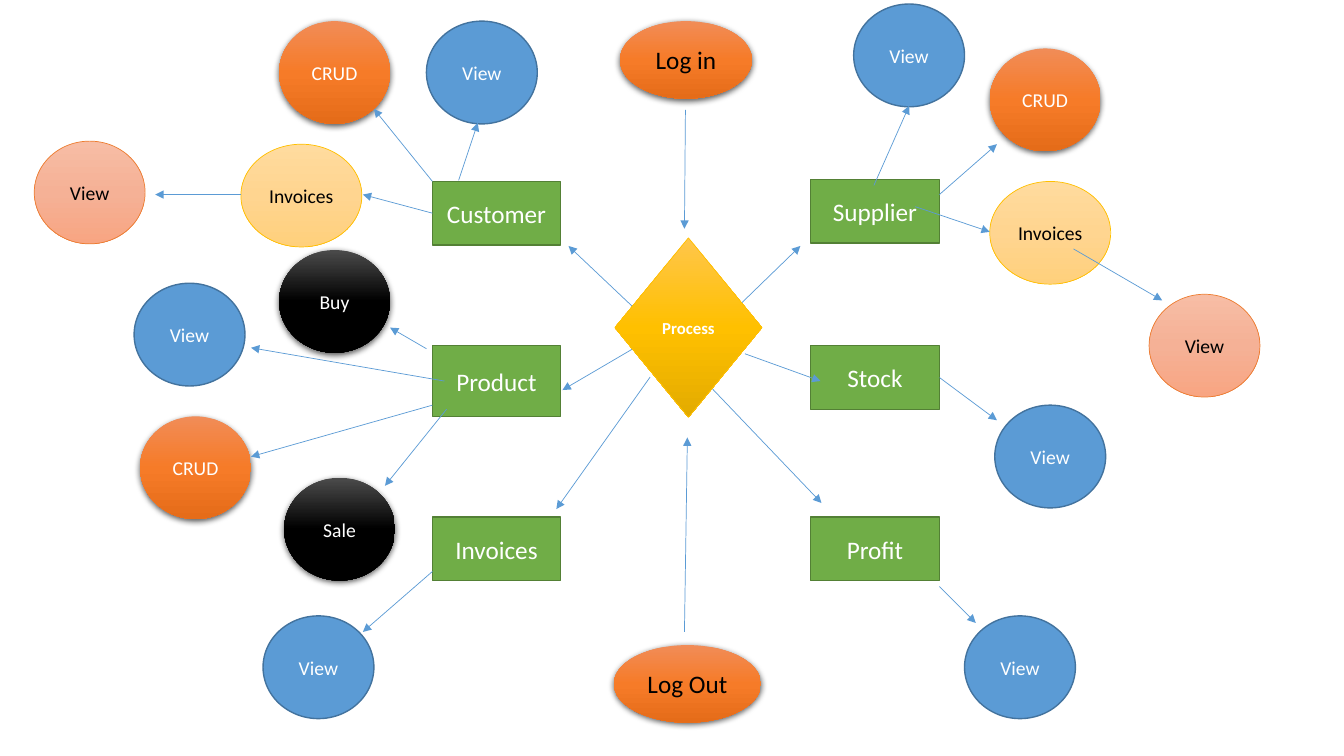
"""Build the process map of a shop system on one slide."""
import copy
from dataclasses import dataclass

import pptx
import pptx.dml.color
import pptx.enum.shapes
import pptx.enum.text
import pptx.oxml
import pptx.oxml.ns
import pptx.util
from lxml import etree

Pt = pptx.util.Pt
SHAPE = pptx.enum.shapes.MSO_SHAPE


@dataclass(frozen=True)
class Look:
    """Fill stops, outline, text colour and shadow of one kind of shape."""
    fill: tuple
    outline: str = ""
    outline_width: float = 0.5
    ink: str = "FFFFFF"
    shadow: bool = False


class Theme:
    """Colours and type sizes of the process map."""
    font = "Calibri"
    large, medium, small = 18, 14, 12
    arrow, arrow_width = "5B9BD5", 0.5
    orange = ("F18C57", "F67B28", "E56C19")
    access = Look(orange, ink="000000", shadow=True)
    module = Look(("70AD47",), "538035", 1)
    process = Look(("FFC64B", "FFC000", "E3AB00"), "FFC000")
    crud = Look(orange, shadow=True)
    view = Look(("5B9BD5",), "43739E", 1)
    invoice = Look(("FFDB9E", "FFD590", "FFD07C"), "FFC000", ink="000000")
    detail = Look(("F7BDA5", "F5B196", "F8A582"), "ED7D31", ink="000000")
    trade = Look(("4B4B4B", "000000", "000000"), shadow=True)


def rgb(code):
    """Return a colour from its hex code."""
    return pptx.dml.color.RGBColor.from_string(code)


class Diagram:
    """Draws shapes and arrows in one theme on the current page."""

    def __init__(self, page, theme):
        """Keep the page and the theme."""
        self.page = page
        self.theme = theme

    def paint(self, shape, colours):
        """Fill a shape with one colour or an even top-down gradient."""
        if len(colours) == 1:
            shape.fill.solid()
            shape.fill.fore_color.rgb = rgb(colours[0])
            return
        shape.fill.gradient()
        shape.fill.gradient_angle = 270
        stops = shape._element.spPr.find(".//" + pptx.oxml.ns.qn("a:gsLst"))
        stops.append(copy.deepcopy(stops[0]))
        for index, stop in enumerate(shape.fill.gradient_stops):
            stop.color.rgb = rgb(colours[index])
            stop.position = index / (len(colours) - 1)

    def cast_shadow(self, shape):
        """Add a soft shadow below a shape."""
        effects = shape._element.spPr.find(pptx.oxml.ns.qn("a:effectLst"))
        effects.append(pptx.oxml.parse_xml(
            f'<a:outerShdw {pptx.oxml.ns.nsdecls("a")} blurRad="{Pt(4.5)}" '
            f'dist="{Pt(1.5)}" dir="5400000" algn="ctr" rotWithShape="0">'
            '<a:srgbClr val="000000"><a:alpha val="63000"/></a:srgbClr>'
            '</a:outerShdw>'))

    def node(self, kind, text, look, bounds, size, bold=False):
        """Draw a labelled shape and return it."""
        shape = self.page.shapes.add_shape(kind, *map(Pt, bounds))
        self.paint(shape, look.fill)
        if look.outline:
            shape.line.color.rgb = rgb(look.outline)
            shape.line.width = Pt(look.outline_width)
        else:
            shape.line.fill.background()
        shape.shadow.inherit = False
        if look.shadow:
            self.cast_shadow(shape)
        frame = shape.text_frame
        frame.word_wrap = True
        frame.margin_left = frame.margin_right = 0
        frame.vertical_anchor = pptx.enum.text.MSO_ANCHOR.MIDDLE
        para = frame.paragraphs[0]
        para.text = text
        para.alignment = pptx.enum.text.PP_ALIGN.CENTER
        para.font.name, para.font.size = self.theme.font, Pt(size)
        para.font.bold = bold
        para.font.color.rgb = rgb(look.ink)
        return shape

    def module(self, text, left, top, width, height=45.4):
        """Draw a rectangle for a module."""
        return self.node(SHAPE.RECTANGLE, text, self.theme.module,
                         (left, top, width, height), self.theme.large)

    def circle(self, text, look, left, top, width=79.2):
        """Draw a round node for an action."""
        return self.node(SHAPE.OVAL, text, look, (left, top, width, 73.4), self.theme.medium)

    def arrow(self, x1, y1, x2, y2):
        """Draw an arrow between two points and return it."""
        line = self.page.shapes.add_connector(
            pptx.enum.shapes.MSO_CONNECTOR.STRAIGHT, Pt(x1), Pt(y1), Pt(x2), Pt(y2))
        line.line.color.rgb = rgb(self.theme.arrow)
        line.line.width = Pt(self.theme.arrow_width)
        outline = line.line._get_or_add_ln()
        etree.SubElement(outline, pptx.oxml.ns.qn("a:tailEnd"), type="triangle")
        etree.SubElement(line._element.spPr, pptx.oxml.ns.qn("a:effectLst"))
        return line


LEFT, RIGHT = (308.9, 91.5), (578.9, 92.2)
MODULES = [
    ("Customer", LEFT, 129.6, 45.4), ("Product", LEFT, 247, 50.4), ("Invoices", LEFT, 369.4, 45.4),
    ("Supplier", RIGHT, 128.2, 45.4), ("Stock", RIGHT, 247, 45.4), ("Profit", RIGHT, 369.4, 45.4),
]
ACCESS = [("Log in", (442.8, 15.1, 94.3, 55.4)), ("Log Out", (438.5, 460.8, 105.1, 55.4))]
CIRCLES = [
    ("CRUD", Theme.crud, [(199.4, 15.1), (707, 34.6), (100.1, 297.4)]),
    ("View", Theme.view, [(304.6, 15.1), (609.8, 2.9), (710.6, 289.4),
                          (689, 439.9), (187.9, 439.9), (95.8, 202.3)]),
    ("Invoices", Theme.invoice, [(172.1, 103, 86.4), (707, 129.6, 86.4)]),
    ("View", Theme.detail, [(24.5, 100.8), (820.8, 210.2)]),
    ("Buy", Theme.trade, [(199.4, 178.6)]),
    ("Sale", Theme.trade, [(203, 341.3)]),
]
ARROWS_UNDER_PROCESS = [
    (460.1, 226.8, 406.1, 175.7), (522, 223.9, 571.7, 175.7), (452.2, 249.1, 401.8, 278.6),
]
ARROWS = [
    (464.4, 269.3, 397.4, 363.6), (532.1, 252.7, 586.1, 272.2), (509, 277.9, 586.8, 359.3),
    (489.6, 78.5, 488.9, 163.4), (488.9, 451.4, 491, 312.5), (327.6, 128.9, 341.3, 87.8),
    (308.9, 129.6, 267.1, 77.8), (624.2, 132.5, 649.4, 75.6), (671, 139, 712.1, 103),
    (653.8, 147.6, 707, 165.6), (172.1, 139, 110.9, 139), (671, 419, 697, 445),
    (308.9, 408.2, 259.2, 451.4), (766.8, 177.8, 830.2, 214.6), (304.6, 249.1, 278.6, 234),
    (317.5, 272.2, 179.3, 248.4), (319, 292.3, 275, 347), (308.9, 289.4, 179.3, 326.2),
]
JOINED_ARROWS = [
    ("Customer", 1, (308.9, 152.3, 259.2, 139)), ("Stock", 3, (671.1, 269.7, 712.1, 300.2)),
]


def main():
    """Draw the process map and save the deck."""
    deck = pptx.Presentation()
    deck.slide_width, deck.slide_height = Pt(960), Pt(540)
    theme = Theme()
    diagram = Diagram(deck.slides.add_slide(deck.slide_layouts[6]), theme)
    boxes = {}
    for text, (left, width), top, height in MODULES:
        boxes[text] = diagram.module(text, left, top, width, height)
    for text, bounds in ACCESS:
        diagram.node(SHAPE.OVAL, text, theme.access, bounds, theme.large)
    for ends in ARROWS_UNDER_PROCESS:
        diagram.arrow(*ends)
    diagram.node(SHAPE.FLOWCHART_DECISION, "Process", theme.process,
                 (439.2, 169.9, 105.1, 128.2), theme.small, bold=True)
    for text, look, places in CIRCLES:
        for place in places:
            diagram.circle(text, look, *place)
    for ends in ARROWS:
        diagram.arrow(*ends)
    for name, side, ends in JOINED_ARROWS:
        diagram.arrow(*ends).begin_connect(boxes[name], side)
    deck.save("out.pptx")


if __name__ == "__main__":
    main()
